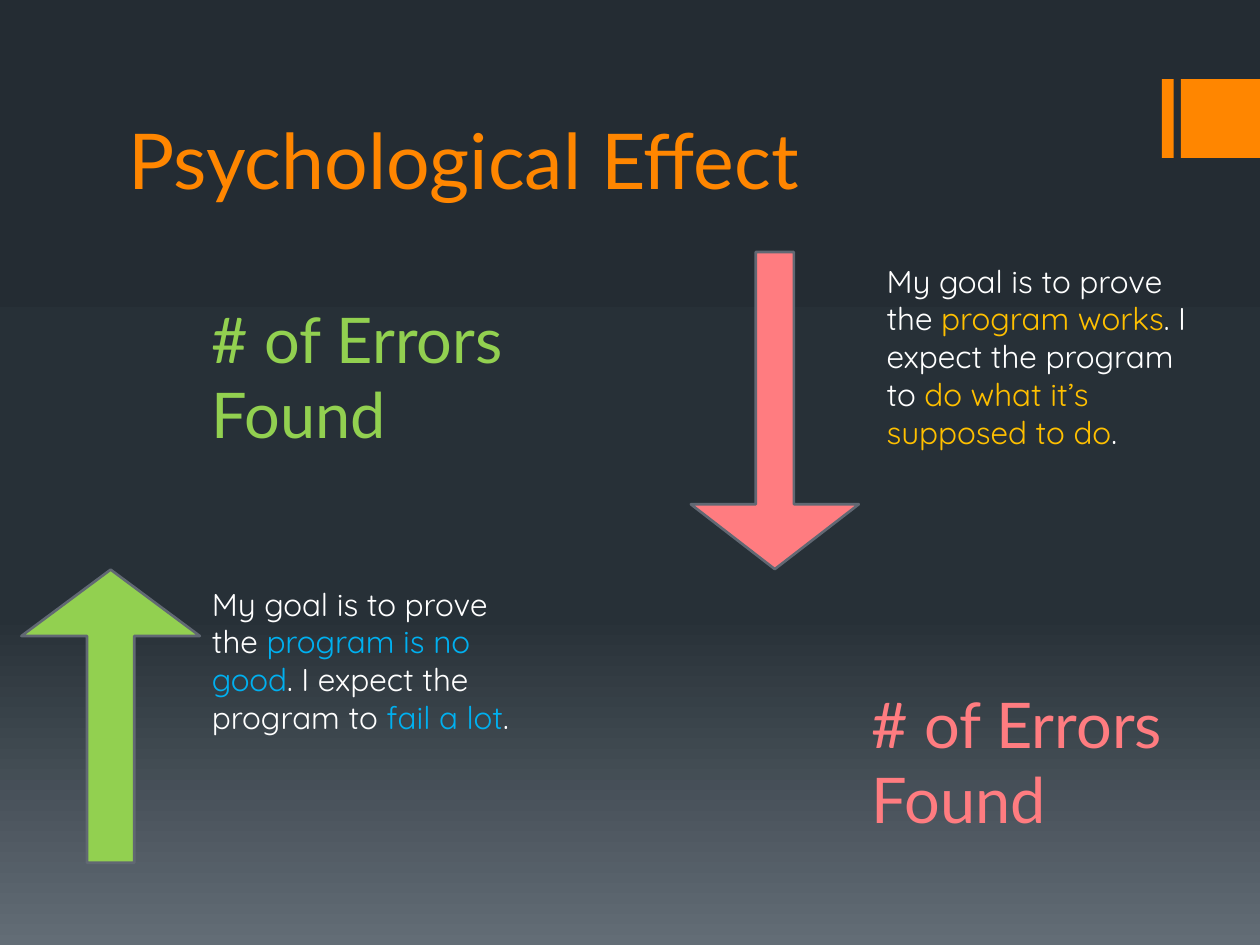
from copy import deepcopy

from pptx import Presentation
from pptx.dml.color import RGBColor
from pptx.enum import shapes, text
from pptx.util import Pt

HUES = {
    "dark": "242C33", "slate": "273037", "mist": "636D76", "edge": "616873",
    "orange": "FF8600", "white": "FFFFFF", "gold": "FFC000",
    "blue": "00B0F0", "green": "92D050", "pink": "FF7C80",
}


def hue(name):
    """Return the named colour."""
    return RGBColor.from_string(HUES[name])


def paint(slide):
    """Fill the background with a vertical gradient of three stops."""
    fill = slide.background.fill
    fill.gradient()
    fill.gradient_angle = 270
    stops = slide.element.xpath(".//a:gsLst")[0]
    stops.append(deepcopy(stops[-1]))
    marks = [(0, "dark"), (0.65, "slate"), (1, "mist")]
    for stop, (place, name) in zip(fill.gradient_stops, marks):
        stop.position = place
        stop.color.rgb = hue(name)


def add_form(slide, kind, box, name, edge=None, adjust=()):
    """Add a filled preset shape, outlined if an edge colour is given."""
    form = slide.shapes.add_shape(kind, *map(Pt, box))
    form.shadow.inherit = False
    form.fill.solid()
    form.fill.fore_color.rgb = hue(name)
    for i, value in enumerate(adjust):
        form.adjustments[i] = value
    if edge:
        form.line.color.rgb = hue(edge)
        form.line.width = Pt(1.5)
    else:
        form.line.fill.background()


def write(frame, parts, face, size):
    """Write coloured runs in one left-aligned paragraph."""
    frame.word_wrap = True
    para = frame.paragraphs[0]
    para.alignment = text.PP_ALIGN.LEFT
    para.font.name = face
    para.font.size = Pt(size)
    for words, name in parts:
        run = para.add_run()
        run.text = words
        run.font.color.rgb = hue(name)


def add_title(slide, words, box):
    """Place and fill the title."""
    title = slide.shapes.title
    title.left, title.top, title.width, title.height = map(Pt, box)
    frame = title.text_frame
    frame.auto_size = text.MSO_AUTO_SIZE.NONE
    frame.vertical_anchor = text.MSO_ANCHOR.BOTTOM
    write(frame, [(words, "orange")], "Lato", 44)


def add_text(slide, box, parts, face, size):
    """Add a text box that grows with its text."""
    frame = slide.shapes.add_textbox(*map(Pt, box)).text_frame
    frame.auto_size = text.MSO_AUTO_SIZE.SHAPE_TO_FIT_TEXT
    write(frame, parts, face, size)


def add_goal(slide, box, aim, hope, name):
    """Add a goal statement with its key phrases coloured."""
    parts = [
        ("My goal is to prove the ", "white"), (aim, name),
        (". I expect the program to ", "white"), (hope, name), (".", "white"),
    ]
    add_text(slide, box, parts, "Quicksand", 18)


def add_count(slide, left, top, name):
    """Add an error count label."""
    box = (left, top, 216, 94.5)
    add_text(slide, box, [("# of Errors Found", name)], "Lato", 36)


def main():
    """Build the slide and save it."""
    deck = Presentation()
    deck.slide_width, deck.slide_height = Pt(720), Pt(540)
    slide = deck.slides.add_slide(deck.slide_layouts[5])
    kind = shapes.MSO_SHAPE
    paint(slide)
    for left, width in [(664, 6.75), (674.75, 45.25)]:
        add_form(slide, kind.RECTANGLE, (left, 45.25, width, 45), "orange")
    add_title(slide, "Psychological Effect", (66, 30, 576, 90.75))
    add_goal(slide, (499.5, 146, 195, 116.5), "program works",
             "do what it’s supposed to do", "gold")
    add_goal(slide, (114, 330.5, 186, 116.5), "program is no good",
             "fail a lot", "blue")
    add_form(slide, kind.UP_ARROW, (12.25, 325.5, 102, 167.5), "green",
             "edge", (0.265, 0.372))
    add_form(slide, kind.DOWN_ARROW, (394.75, 144, 96, 181.25), "pink",
             "edge", (0.227, 0.386))
    add_count(slide, 114, 168, "green")
    add_count(slide, 491, 388, "pink")
    deck.save("out.pptx")


if __name__ == "__main__":
    main()
